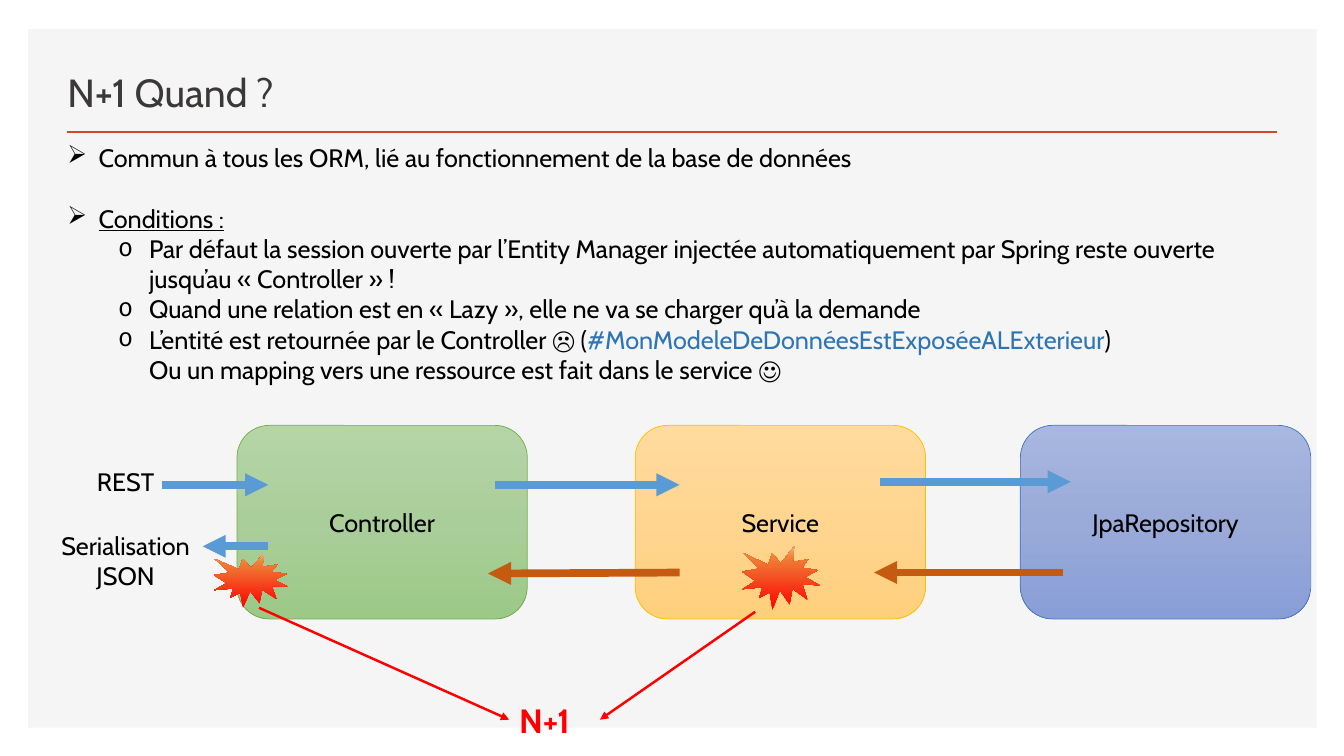
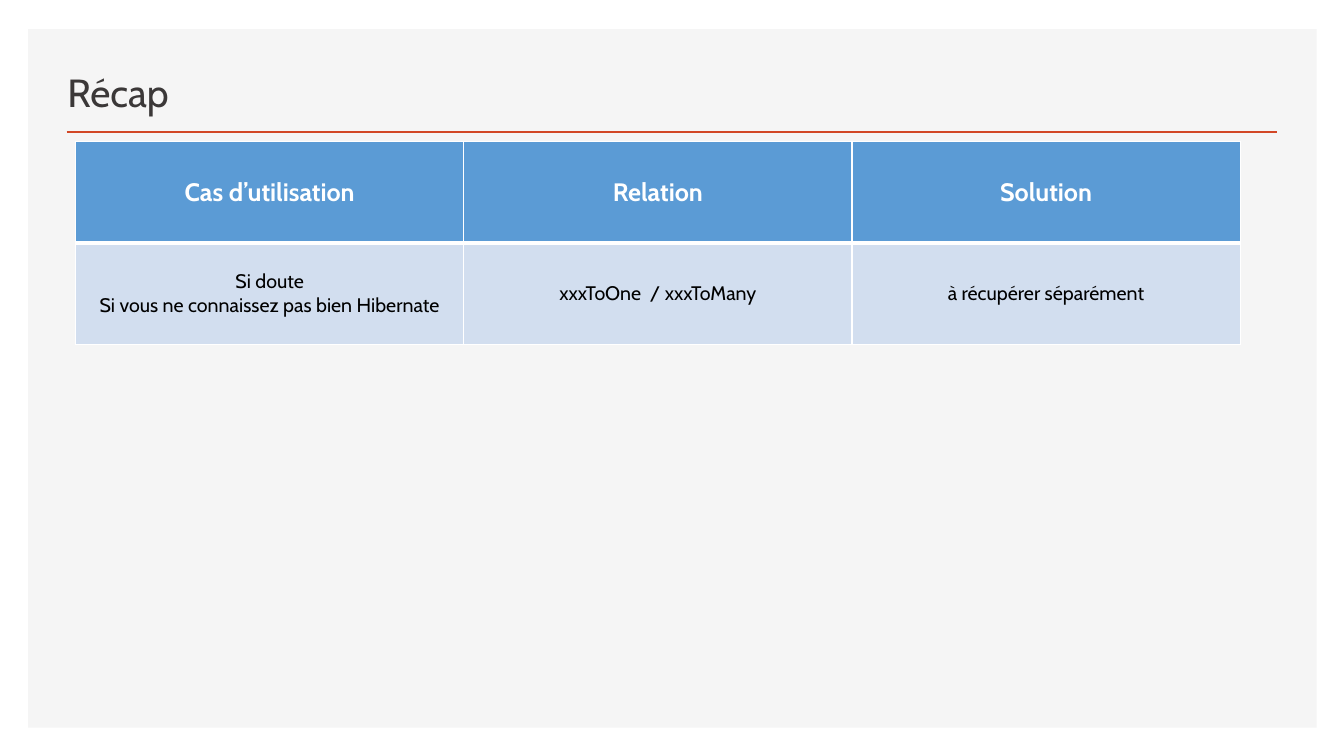
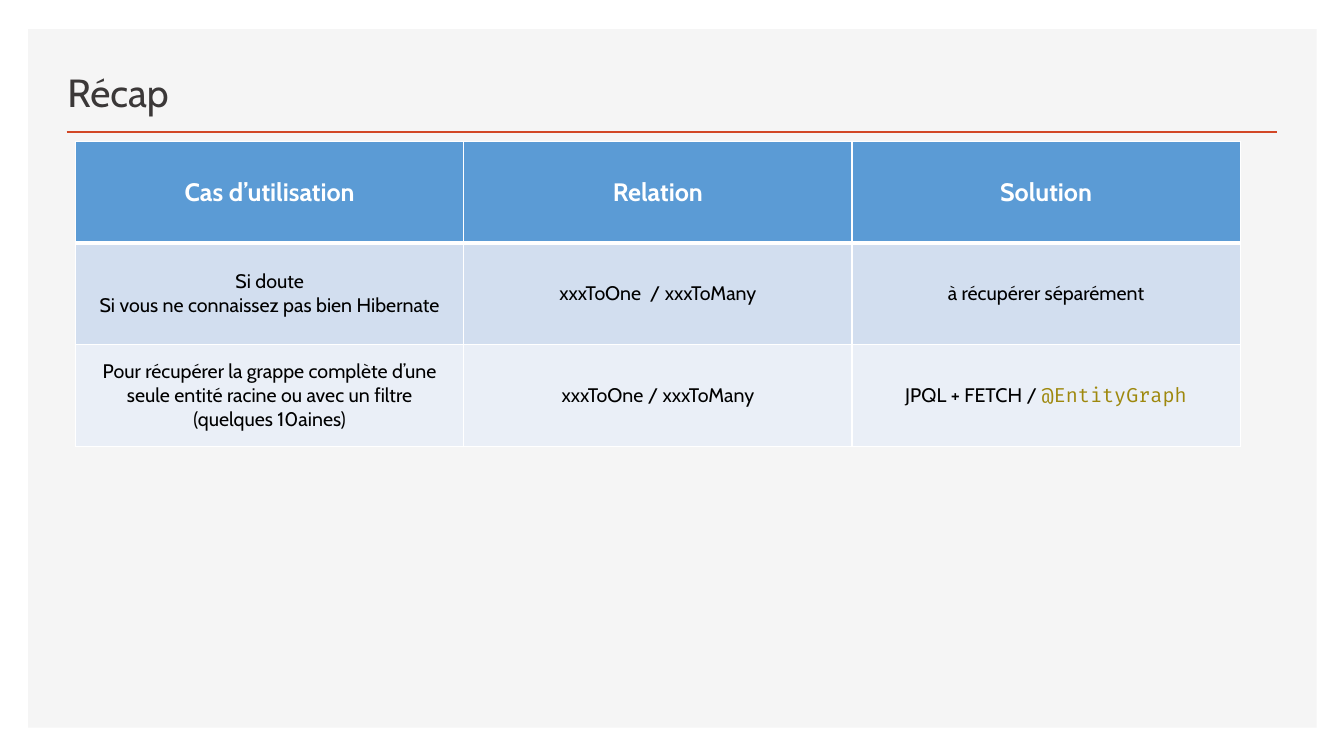
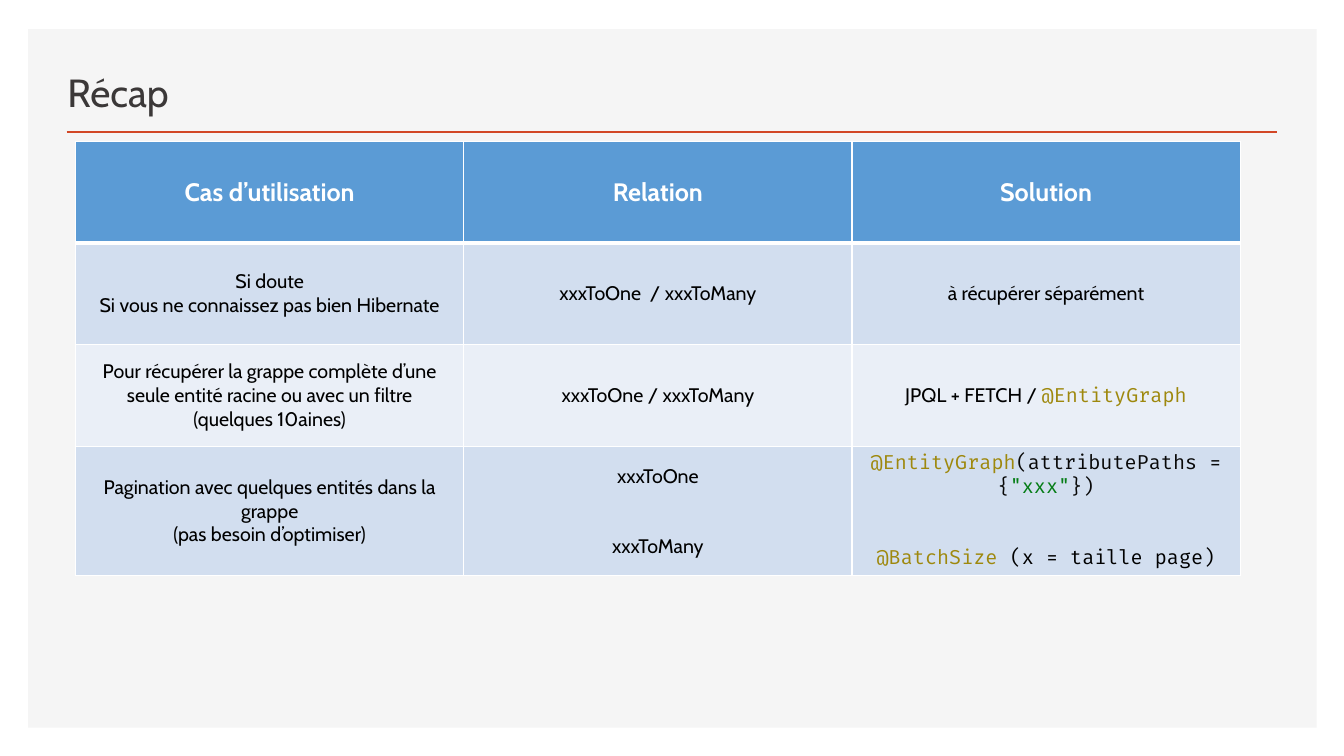
"""Four slides on the N+1 problem: when it happens, then a recap table built up row by row."""
from dataclasses import dataclass

from lxml import etree
from pptx import Presentation
from pptx.dml.color import RGBColor
from pptx.enum import shapes, text
from pptx.oxml.ns import qn
from pptx.util import Inches, Pt


@dataclass(frozen=True)
class Theme:
    font: str = "Cabin"
    code_font: str = "Fira Code"
    title_size: int = 28
    body_size: int = 18
    cell_size: int = 14
    alert_size: int = 24
    panel: str = "F5F5F5"
    rule: str = "D24726"
    title: str = "3B3838"
    black: str = "000000"
    white: str = "FFFFFF"
    hashtag: str = "2E75B6"
    request: str = "5B9BD5"
    response: str = "C55A11"
    alert: str = "FF0000"
    header: str = "5B9BD5"
    bands: tuple = ("D2DEEF", "EAEFF7")
    annotation: str = "9E880D"
    code: str = "080808"
    string: str = "067D17"
    seal: tuple = ((0, "FF0000"), (83, "EE8137"), (100, "F4B183"))


theme = Theme()
CENTER = text.PP_ALIGN.CENTER
MIDDLE = text.MSO_ANCHOR.MIDDLE


def write(paragraph, runs, size, color=theme.black, bold=False, align=None):
    paragraph.alignment = align
    for content, *style in [(runs,)] if isinstance(runs, str) else runs:
        if content == "\n":
            paragraph.add_line_break()
            continue
        run = paragraph.add_run()
        run.text = content
        run.font.size = Pt(size)
        run.font.bold = bold
        run.font.color.rgb = RGBColor.from_string(style[0] if style else color)
        run.font.name = style[1] if len(style) > 1 else theme.font


def draw_line(slide, start, end, color, width, arrow=True):
    line = slide.shapes.add_connector(
        shapes.MSO_CONNECTOR.STRAIGHT, *[Inches(v) for v in (*start, *end)])
    line.line.color.rgb = RGBColor.from_string(color)
    line.line.width = Pt(width)
    if arrow:
        etree.SubElement(line.line._ln, qn("a:tailEnd"), type="triangle")
    etree.SubElement(line._element.spPr, qn("a:effectLst"))


deck = Presentation()
deck.slide_width, deck.slide_height = Inches(13.33), Inches(7.5)

for heading, width in [("N+1 Quand ?", 10.41)] + [("Récap", 8.51)] * 3:
    slide = deck.slides.add_slide(deck.slide_layouts[6])
    panel = slide.shapes.add_shape(
        shapes.MSO_SHAPE.RECTANGLE, Inches(0.28), Inches(0.29), Inches(12.78), Inches(6.93))
    panel.shadow.inherit = False
    panel.fill.solid()
    panel.fill.fore_color.rgb = RGBColor.from_string(theme.panel)
    panel.line.fill.background()
    draw_line(slide, (0.66, 1.31), (12.67, 1.31), theme.rule, 2, arrow=False)
    title = slide.shapes.add_textbox(Inches(0.57), Inches(0.49), Inches(width), Inches(0.7))
    title.text_frame.word_wrap = True
    title.text_frame.vertical_anchor = text.MSO_ANCHOR.BOTTOM
    write(title.text_frame.paragraphs[0], heading, theme.title_size, theme.title)

when, *recaps = deck.slides

conditions = [
    (0, "Commun à tous les ORM, lié au fonctionnement de la base de données"),
    (0, "Conditions :"),
    (1, "Par défaut la session ouverte par l’Entity Manager injectée automatiquement par Spring "
        "reste ouverte jusqu’au « Controller » !"),
    (1, "Quand une relation est en « Lazy », elle ne va se charger qu’à la demande"),
    (1, [("L’entité est retournée par le Controller ☹ (",),
         ("#MonModeleDeDonnéesEstExposéeALExterieur", theme.hashtag),
         (")",), ("\n",),
         ("Ou un mapping vers une ressource est fait dans le service ☺",)]),
]
body = when.shapes.add_textbox(Inches(0.57), Inches(1.36), Inches(11.99), Inches(4.04)).text_frame
body.word_wrap = True
for index, (level, runs) in enumerate(conditions):
    paragraph = body.paragraphs[0] if index == 0 else body.add_paragraph()
    paragraph.level = level
    properties = paragraph._p.get_or_add_pPr()
    properties.set("marL", str(Inches((0.31, 0.81)[level])))
    properties.set("indent", str(Inches(-0.31)))
    if level == 1:
        etree.SubElement(properties, qn("a:buFont"), typeface=theme.code_font)
    etree.SubElement(properties, qn("a:buChar"), char="➢o"[level])
    write(paragraph, runs, theme.body_size)
    if runs == "Conditions :":
        paragraph.space_before = Pt(22)
        paragraph.runs[0].font.underline = True

layers = [
    ("JpaRepository", 10.12, "4472C4", ("A8B7DF", "9AABD9", "889ED7")),
    ("Service", 6.3, "FFC000", ("FFDB9E", "FFD590", "FFD07C")),
    ("Controller", 2.35, "70AD47", ("B5D5A7", "AACE9A", "9CC987")),
]
blocks = [(shapes.MSO_SHAPE.ROUNDED_RECTANGLE, (left, 4.22, 2.88, 1.92), name, edge,
           tuple(zip((0, 50, 100), tints)), 270) for name, left, edge, tints in layers]
blocks += [(shapes.MSO_SHAPE.EXPLOSION1, place, "", None, theme.seal, 90)
           for place in ((7.36, 5.42, 0.77, 0.63), (2.12, 5.49, 0.74, 0.54))]
for outline, place, name, edge, stops, angle in blocks:
    block = when.shapes.add_shape(outline, *[Inches(v) for v in place])
    block.shadow.inherit = False
    block.fill.gradient()
    block.fill.gradient_angle = angle
    stop_list = block._element.spPr.find(".//" + qn("a:gsLst"))
    stop_list[:] = []
    for position, color in stops:
        stop = etree.SubElement(stop_list, qn("a:gs"), pos=str(position * 1000))
        etree.SubElement(stop, qn("a:srgbClr"), val=color)
    if edge:
        block.line.color.rgb = RGBColor.from_string(edge)
        block.line.width = Pt(0.5)
        block.text_frame.vertical_anchor = MIDDLE
        write(block.text_frame.paragraphs[0], name, theme.body_size, align=CENTER)
    else:
        block.line.fill.background()

for start, end, color, width in [
    ((4.91, 4.81), (6.74, 4.81), theme.request, 5.5),
    ((8.73, 4.78), (10.62, 4.78), theme.request, 5.5),
    ((10.54, 5.68), (8.67, 5.68), theme.response, 5.5),
    ((6.74, 5.68), (4.84, 5.69), theme.response, 5.5),
    ((1.61, 4.81), (2.66, 4.81), theme.request, 5.5),
    ((2.66, 5.42), (2.01, 5.42), theme.request, 5.5),
    ((7.49, 6.07), (5.95, 7.14), theme.alert, 1.75),
    ((2.57, 6.03), (5.05, 7.14), theme.alert, 1.75),
]:
    draw_line(when, start, end, color, width)

for lines, place, size, color, bold, align in [
    (["REST"], (0.44, 4.58, 1.61, 0.4), theme.body_size, theme.black, False, CENTER),
    (["Serialisation", "JSON"], (0.44, 5.21, 1.61, 0.71), theme.body_size, theme.black, False, CENTER),
    (["N+1"], (5.05, 6.89, 0.9, 0.5), theme.alert_size, theme.alert, True, None),
]:
    label = when.shapes.add_textbox(*[Inches(v) for v in place]).text_frame
    label.word_wrap = True
    for index, line in enumerate(lines):
        paragraph = label.paragraphs[0] if index == 0 else label.add_paragraph()
        write(paragraph, line, size, color, bold, align)

entity_graph = ("@EntityGraph", theme.annotation, theme.code_font)
cases = [
    (["Cas d’utilisation"], ["Relation"], ["Solution"]),
    (["Si doute", "Si vous ne connaissez pas bien Hibernate"],
     ["xxxToOne  / xxxToMany"],
     ["à récupérer séparément"]),
    (["Pour récupérer la grappe complète d’une seule entité racine ou avec un filtre (quelques 10aines)"],
     ["xxxToOne / xxxToMany"],
     [[("JPQL + FETCH / ",), entity_graph]]),
    (["Pagination avec quelques entités dans la grappe", "(pas besoin d’optimiser)"],
     ["xxxToOne", "xxxToMany"],
     [[entity_graph,
       ("(attributePaths = {", theme.code, theme.code_font),
       ('"xxx"', theme.string, theme.code_font),
       ("})", theme.code, theme.code_font)],
      [("@BatchSize ", theme.annotation, theme.code_font),
       ("(x = taille page)", theme.black, theme.code_font)]]),
]
row_heights = (1.01, 1.01, 1.01, 1.28)
split_row = 3

for row_count, slide in enumerate(recaps, start=2):
    recap = slide.shapes.add_table(
        row_count, 3, Inches(0.75), Inches(1.4), Inches(11.54), Inches(sum(row_heights[:row_count]))).table
    for column in recap.columns:
        column.width = Inches(3.85)
    for row, case in enumerate(cases[:row_count]):
        recap.rows[row].height = Inches(row_heights[row])
        is_header = row == 0
        for column, lines in enumerate(case):
            cell = recap.cell(row, column)
            cell.vertical_anchor = MIDDLE
            for side in "LRTB":
                thick = (row, side) in ((0, "B"), (1, "T"))
                border = etree.SubElement(
                    cell._tc.get_or_add_tcPr(), qn("a:ln" + side), w=str(Pt(3 if thick else 1)))
                paint = etree.SubElement(border, qn("a:solidFill"))
                etree.SubElement(paint, qn("a:srgbClr"), val=theme.white)
            cell.fill.solid()
            cell.fill.fore_color.rgb = RGBColor.from_string(
                theme.header if is_header else theme.bands[(row - 1) % 2])
            for index, runs in enumerate(lines):
                paragraph = cell.text_frame.paragraphs[0] if index == 0 else cell.text_frame.add_paragraph()
                write(paragraph, runs, theme.body_size if is_header else theme.cell_size,
                      theme.white if is_header else theme.black, is_header, CENTER)
                if row == split_row and column > 0 and index > 0:
                    paragraph.space_before = Pt(33)

deck.save("out.pptx")
